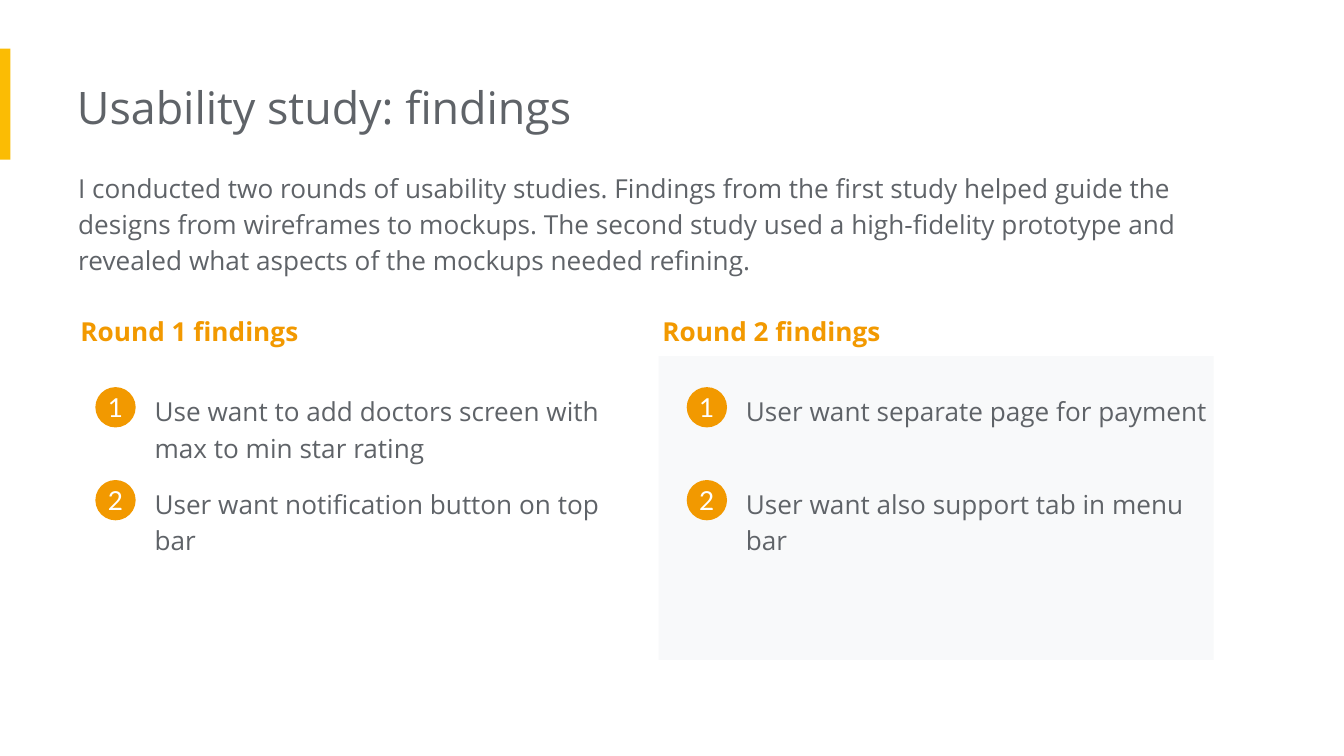
import dataclasses

import pptx
import pptx.dml.color
import pptx.enum.shapes
import pptx.enum.text
import pptx.oxml.ns
import pptx.util
from lxml import etree

Pt = pptx.util.Pt
Shape = pptx.enum.shapes.MSO_SHAPE
Align = pptx.enum.text.PP_ALIGN
Anchor = pptx.enum.text.MSO_ANCHOR


@dataclasses.dataclass(frozen=True)
class Theme:
    ink: str = "5F6368"
    accent: str = "F29900"
    stripe: str = "FBBC04"
    panel: str = "F8F9FA"
    white: str = "FFFFFF"
    font: str = "Open Sans"
    digit: str = "Lato"
    large: float = 24
    small: float = 14
    lead: float = 1.15
    pad: float = 7.2


def color(code):
    return pptx.dml.color.RGBColor.from_string(code)


class Page:
    def __init__(self, slide, theme):
        self.slide = slide
        self.theme = theme

    def letter(self, shape, text, ink, size, font=None, bold=False,
               lead=1.0, align=Align.LEFT, anchor=Anchor.TOP, pads=None):
        """Fill a shape with one styled paragraph."""
        pad = self.theme.pad
        frame = shape.text_frame
        frame.text = text
        frame.word_wrap = True
        frame.auto_size = pptx.enum.text.MSO_AUTO_SIZE.NONE
        frame.vertical_anchor = anchor
        left, top, right, base = pads or (pad, pad, pad, pad)
        frame.margin_left, frame.margin_top = Pt(left), Pt(top)
        frame.margin_right, frame.margin_bottom = Pt(right), Pt(base)
        para = frame.paragraphs[0]
        para.alignment = align
        para.line_spacing = lead
        para.space_before = Pt(0)
        for run in para.runs:
            run.font.name = font or self.theme.font
            run.font.size = Pt(size)
            run.font.bold = bold
            run.font.color.rgb = color(ink)

    def place(self, shape, x, y, w, h):
        shape.left, shape.top = Pt(x), Pt(y)
        shape.width, shape.height = Pt(w), Pt(h)

    def title(self, text, *box):
        pad = self.theme.pad
        shape = self.slide.shapes.title
        self.place(shape, *box)
        self.letter(shape, text, self.theme.ink, self.theme.large,
                    pads=(0, pad, pad, pad))

    def body(self, text, *box):
        pad = self.theme.pad
        shape = self.slide.placeholders[1]
        self.place(shape, *box)
        self.letter(shape, text, self.theme.ink, self.theme.small,
                    lead=self.theme.lead, pads=(0, pad, pad, pad))
        # Plain paragraph: no bullet, no hanging indent
        props = shape.text_frame.paragraphs[0]._p.get_or_add_pPr()
        props.set("marL", "0")
        props.set("indent", "0")
        etree.SubElement(props, pptx.oxml.ns.qn("a:buNone"))

    def label(self, text, x, y, w, h, ink=None, bold=False):
        shape = self.slide.shapes.add_textbox(Pt(x), Pt(y), Pt(w), Pt(h))
        self.letter(shape, text, ink or self.theme.ink, self.theme.small,
                    bold=bold, lead=self.theme.lead)

    def block(self, kind, fill, x, y, w, h):
        shape = self.slide.shapes.add_shape(kind, Pt(x), Pt(y), Pt(w), Pt(h))
        shape.shadow.inherit = False
        shape.fill.solid()
        shape.fill.fore_color.rgb = color(fill)
        shape.line.fill.background()
        return shape

    def badge(self, text, x, y, size):
        shape = self.block(Shape.OVAL, self.theme.accent, x, y, size, size)
        self.letter(shape, text, self.theme.white, self.theme.small,
                    font=self.theme.digit, align=Align.CENTER,
                    anchor=Anchor.MIDDLE, pads=(0, 0, 0, 0))


ROUNDS = [
    ("Round 1 findings", 36, 51.1, [
        "Use want to add doctors screen with max to min star rating",
        "User want notification button on top bar",
    ]),
    ("Round 2 findings", 347.8, 367.9, [
        "User want separate page for payment",
        "User want also support tab in menu bar",
    ]),
]
INTRO = ("I conducted two rounds of usability studies. Findings from the "
         "first study helped guide the designs from wireframes to mockups. "
         "The second study used a high-fidelity prototype and revealed what "
         "aspects of the mockups needed refining.")


def main():
    deck = pptx.Presentation()
    deck.slide_width, deck.slide_height = Pt(720), Pt(405)
    theme = Theme()
    page = Page(deck.slides.add_slide(deck.slide_layouts[1]), theme)

    # Side stripe, title and intro
    page.block(Shape.RECTANGLE, theme.stripe, 0, 26, 5.6, 59.5)
    page.title("Usability study: findings", 41.2, 35.3, 484.6, 44)
    page.body(INTRO, 41.9, 82.8, 620, 72.7)

    # Panel behind the second round
    page.block(Shape.RECTANGLE, theme.panel, 352.8, 190.8, 297.4, 162.8)

    # Findings: a heading and numbered notes for each round
    for head, left, edge, notes in ROUNDS:
        page.label(head, left, 159.1, 262.8, 31.7, theme.accent, bold=True)
        for row, note in enumerate(notes):
            top = 202.4 + row * 49.8
            page.label(note, edge + 24.6, top, 262.8, 53.3)
            page.badge(str(row + 1), edge, top + 5, 21.6)

    deck.save("out.pptx")


if __name__ == "__main__":
    main()
